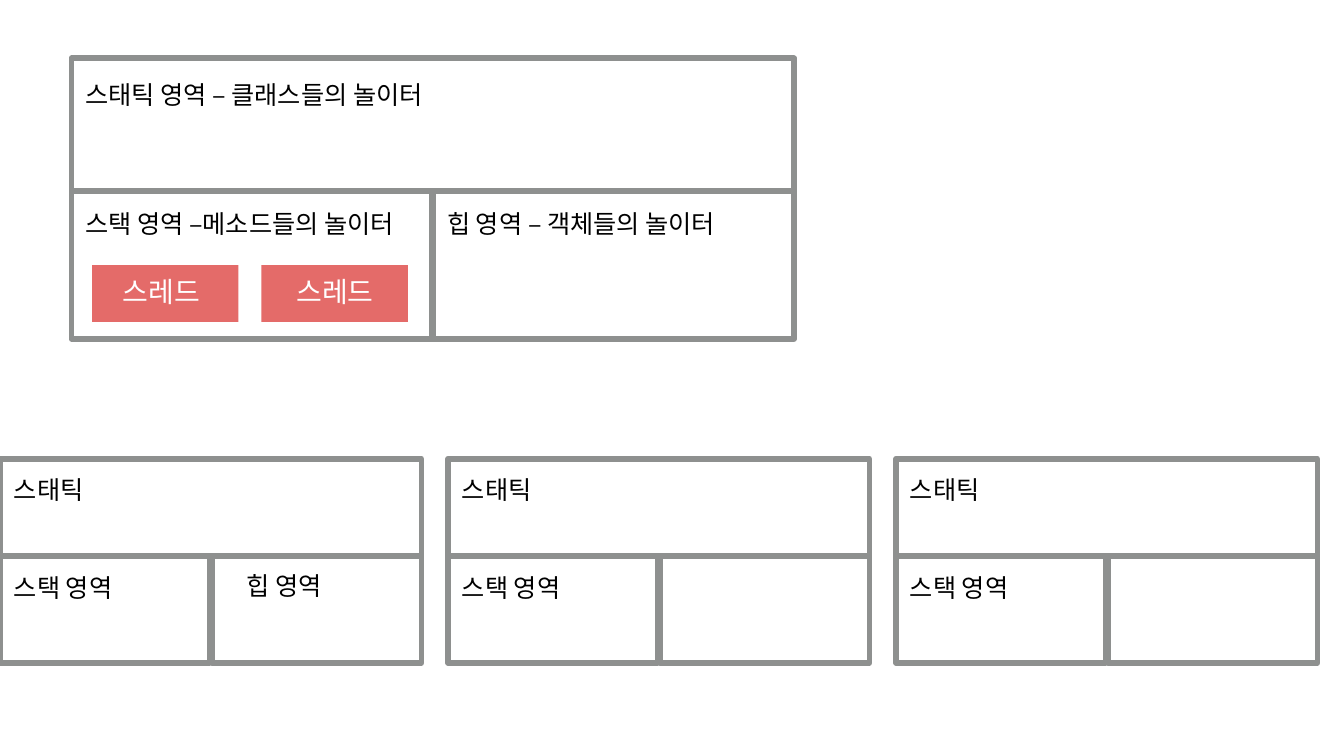
import pptx
import pptx.util
import pptx.dml.color
import pptx.enum.shapes
import pptx.enum.text

Cm = pptx.util.Cm
Pt = pptx.util.Pt
RGBColor = pptx.dml.color.RGBColor

GREY = RGBColor(0x8E, 0x90, 0x8F)
RED = RGBColor(0xE4, 0x6B, 0x69)
BLACK = RGBColor(0x00, 0x00, 0x00)
WHITE = RGBColor(0xFF, 0xFF, 0xFF)


class MemoryPage:
    """Draws memory areas on one slide; all lengths are centimetres."""

    font_name = "Noto Sans CJK KR"
    border = Pt(4)

    def __init__(self, page):
        self.page = page

    def rectangle(self, left, top, width, height):
        box = self.page.shapes.add_shape(
            pptx.enum.shapes.MSO_SHAPE.RECTANGLE,
            Cm(left), Cm(top), Cm(width), Cm(height))
        box.shadow.inherit = False
        return box

    def area(self, left, top, width, height):
        box = self.rectangle(left, top, width, height)
        box.fill.background()
        box.line.color.rgb = GREY
        box.line.width = self.border

    def block(self, left, top, width, height):
        box = self.rectangle(left, top, width, height)
        box.fill.solid()
        box.fill.fore_color.rgb = RED
        box.line.fill.background()

    def label(self, text, left, top, width=11.1, height=1.02, size=18, color=BLACK):
        box = self.page.shapes.add_textbox(Cm(left), Cm(top), Cm(width), Cm(height))
        frame = box.text_frame
        frame.word_wrap = True
        frame.auto_size = pptx.enum.text.MSO_AUTO_SIZE.SHAPE_TO_FIT_TEXT
        para = frame.paragraphs[0]
        para.text = text
        para.font.name = self.font_name
        para.font.size = Pt(size)
        para.font.color.rgb = color

    def memory(self, left, top, width, static_height, lower_top, lower_height, cell_width):
        """One wide static area above a stack area and a heap area."""
        self.area(left, top, width, static_height)
        for cell_left in (left, left + width - cell_width):
            self.area(cell_left, lower_top, cell_width, lower_height)


def main():
    deck = pptx.Presentation()
    deck.slide_width = Cm(33.87)
    deck.slide_height = Cm(19.05)
    memory_page = MemoryPage(deck.slides.add_slide(deck.slide_layouts[6]))

    # Large memory diagram
    memory_page.memory(1.8, 1.47, 18.21, 3.35, 4.83, 3.71, 9.12)
    memory_page.label("스태틱 영역 – 클래스들의 놀이터", 1.9, 1.88)
    memory_page.label("스택 영역 –메소드들의 놀이터", 1.9, 5.13)
    memory_page.label("힙 영역 – 객체들의 놀이터", 11.02, 5.13)

    # Threads inside the stack area
    for block_left, label_left, label_top in ((2.32, 2.84, 6.79), (6.59, 7.22, 6.8)):
        memory_page.block(block_left, 6.68, 3.69, 1.43)
        memory_page.label("스레드", label_left, label_top, width=2.64,
                          height=1.11, size=20, color=WHITE)

    # Row of three small memory diagrams
    pitch = 11.29
    for index in range(3):
        left = index * pitch
        memory_page.memory(left, 11.56, 10.62, 2.45, 14.02, 2.69, 5.28)
        memory_page.label("스태틱", left + 0.1, 11.84)
        memory_page.label("스택 영역", left + 0.1, 14.3)
    memory_page.label("힙 영역", 5.97, 14.25)

    deck.save("out.pptx")


if __name__ == "__main__":
    main()
